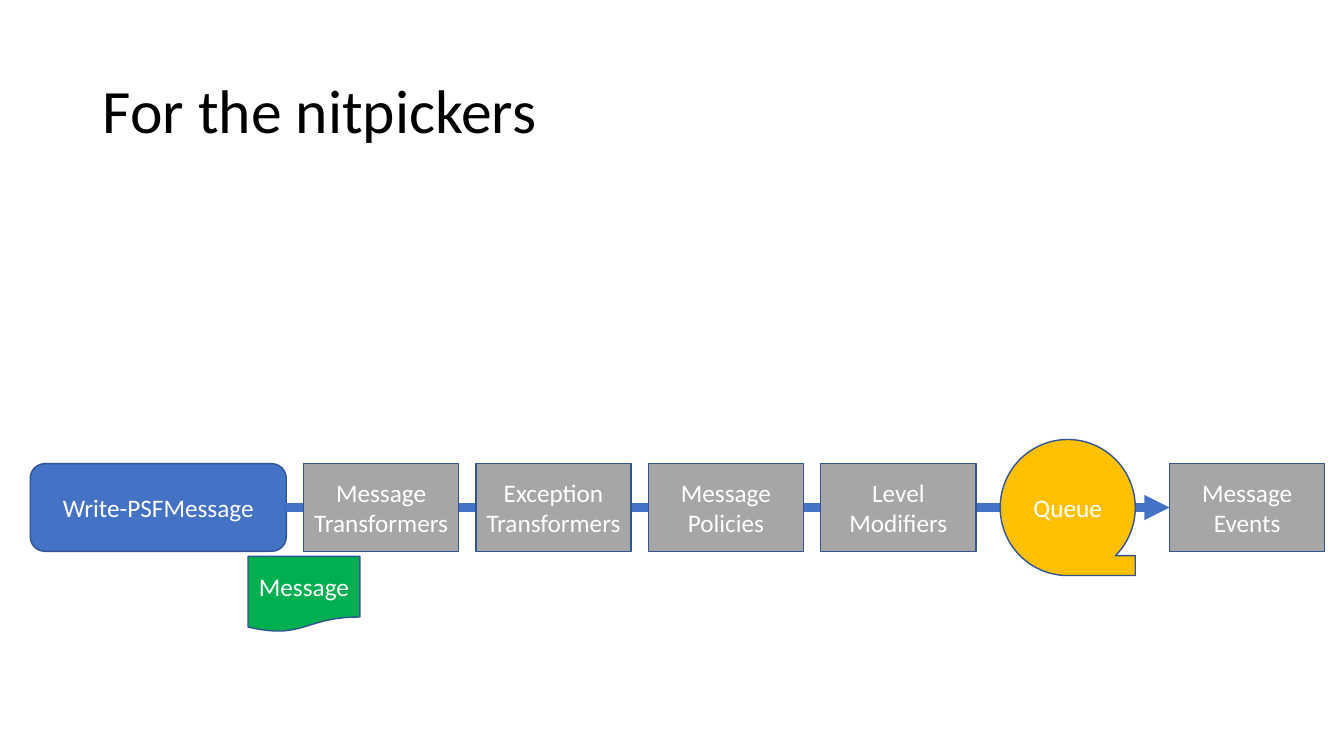
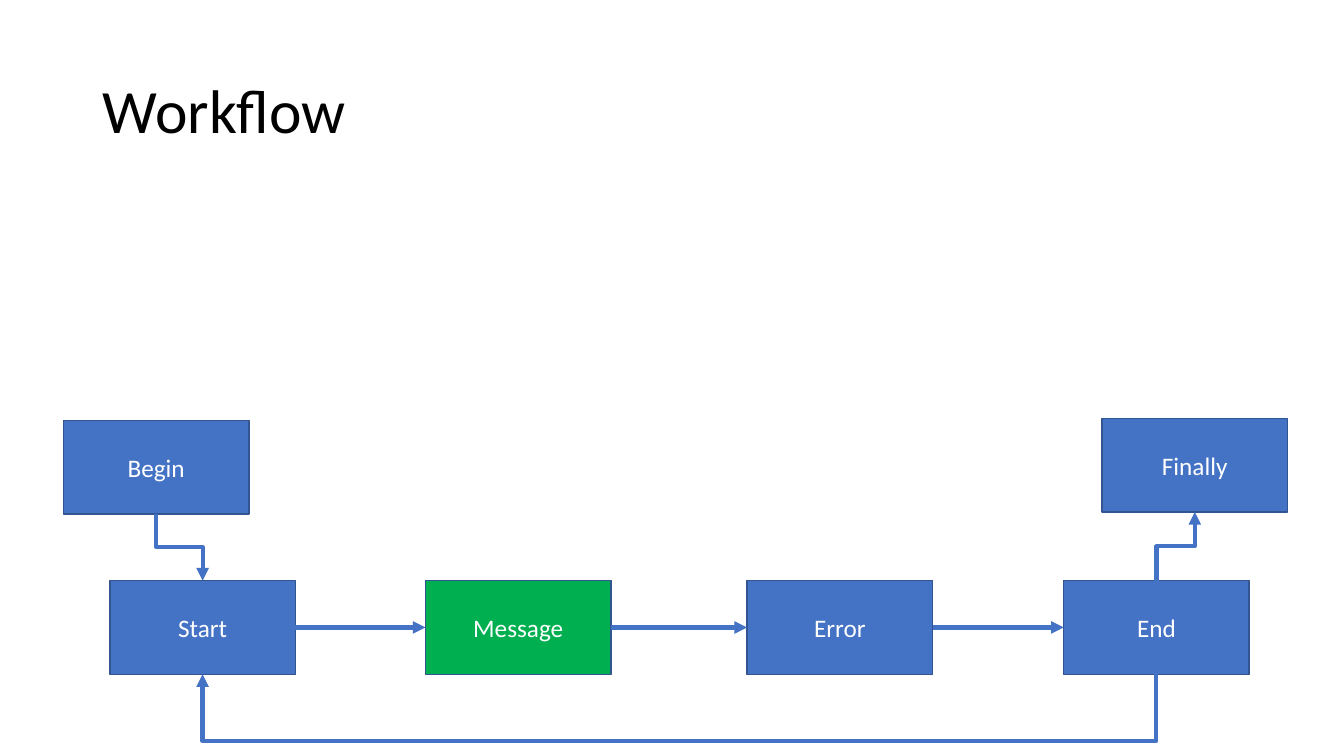
from collections import namedtuple

from lxml import etree
from pptx import Presentation
from pptx.dml.color import RGBColor
from pptx.enum.shapes import MSO_CONNECTOR, MSO_SHAPE
from pptx.enum.text import MSO_ANCHOR, PP_ALIGN
from pptx.oxml.ns import qn
from pptx.util import Emu, Inches, Pt

RECT = MSO_SHAPE.RECTANGLE
ROUNDED = MSO_SHAPE.ROUNDED_RECTANGLE
DOCUMENT = MSO_SHAPE.FLOWCHART_DOCUMENT
QUEUE = MSO_SHAPE.FLOWCHART_SEQUENTIAL_ACCESS_STORAGE
STRAIGHT, ELBOW = MSO_CONNECTOR.STRAIGHT, MSO_CONNECTOR.ELBOW
LEFT, CENTER = PP_ALIGN.LEFT, PP_ALIGN.CENTER
MIDDLE = MSO_ANCHOR.MIDDLE

BLUE = RGBColor(0x44, 0x72, 0xC4)
OUTLINE = RGBColor(0x32, 0x54, 0x91)
GREEN = RGBColor(0x00, 0xB0, 0x50)
GRAY = RGBColor(0xA6, 0xA6, 0xA6)
AMBER = RGBColor(0xFF, 0xC0, 0x00)
WHITE = RGBColor(0xFF, 0xFF, 0xFF)
BLACK = RGBColor(0x00, 0x00, 0x00)

TITLE_FONT = {"name": "Calibri", "size": Pt(44), "bold": False}
LABEL_FONT = {"name": "Calibri", "size": Pt(18), "bold": False}

# Connection sites of a box
TOP_SITE, LEFT_SITE, BOTTOM_SITE, RIGHT_SITE = range(4)

Box = namedtuple("Box", "left top width height")
TITLE_BOX = Box(0.92, 0.4, 11.5, 1.45)
PIPELINE_BOX = Box(0.3, 4.36, 12.84, 1.91)
WORKFLOW_BOX = Box(0.63, 4.15, 12.14, 3.09)


def format_text(frame, text, align, font, color):
    frame.text = text
    frame.word_wrap = True
    frame.vertical_anchor = MIDDLE
    for paragraph in frame.paragraphs:
        paragraph.alignment = align
        for name, value in font.items():
            setattr(paragraph.font, name, value)
        paragraph.font.color.rgb = color


def titled_slide(prs, text):
    slide = prs.slides.add_slide(prs.slide_layouts[5])
    title = slide.shapes.title
    for side, length in TITLE_BOX._asdict().items():
        setattr(title, side, Inches(length))
    format_text(title.text_frame, text, LEFT, TITLE_FONT, BLACK)
    title.text_frame.paragraphs[0].line_spacing = 0.9
    return slide


def add_node(slide, text, box, fill=BLUE, preset=RECT):
    node = slide.shapes.add_shape(preset, *map(Inches, box))
    node.shadow.inherit = False
    node.fill.solid()
    node.fill.fore_color.rgb = fill
    node.line.color.rgb = OUTLINE
    node.line.width = Pt(1)
    format_text(node.text_frame, text, CENTER, LABEL_FONT, WHITE)
    return node


def add_arrow(slide, source, target, sites=(RIGHT_SITE, LEFT_SITE),
              weight=3, kind=STRAIGHT):
    """Join two nodes at the given connection sites."""
    arrow = slide.shapes.add_connector(kind, 0, 0, 0, 0)
    arrow.begin_connect(source, sites[0])
    arrow.end_connect(target, sites[1])
    arrow.line.color.rgb = BLUE
    arrow.line.width = Pt(weight)
    etree.SubElement(arrow.line._get_or_add_ln(), qn("a:tailEnd"), type="triangle")
    etree.SubElement(arrow.element.spPr, qn("a:effectLst"))
    return arrow


def add_vertical_elbow(slide, source, target, sites, rotation, flips, depth=None):
    """Join two nodes by an elbow that leaves and arrives vertically.

    The preset runs sideways, so its frame is turned about its centre.
    depth is how far the bend passes below two level ends.
    """
    arrow = add_arrow(slide, source, target, sites, kind=ELBOW)
    center_x = (arrow.begin_x + arrow.end_x) // 2
    center_y = (arrow.begin_y + arrow.end_y) // 2
    run = max(abs(arrow.end_y - arrow.begin_y), 900)
    offset = abs(arrow.end_x - arrow.begin_x)
    frame = {"left": center_x - run // 2, "top": center_y - offset // 2,
             "width": run, "height": offset}
    for side, length in frame.items():
        setattr(arrow, side, Emu(length))
    transform = arrow.element.spPr.find(qn("a:xfrm"))
    transform.set("rot", str(rotation * 60000))
    for flip in ("flipH", "flipV"):
        transform.set(flip, str(int(flip in flips)))
    if depth is not None:
        share = -round(Inches(depth) / run * 100000)
        geometry = arrow.element.spPr.find(qn("a:prstGeom"))
        guides = geometry.find(qn("a:avLst"))
        if guides is None:
            guides = etree.SubElement(geometry, qn("a:avLst"))
        etree.SubElement(guides, qn("a:gd"), name="adj1", fmla=f"val {share}")


def draw_pipeline(slide, box):
    stage_width, stage_height, pitch = 1.54, 0.87, 1.71
    row_top = box.top + 0.24
    first_left = box.left + 2.71

    def stage(text, left):
        add_box = Box(left, row_top, stage_width, stage_height)
        return add_node(slide, text, add_box, GRAY)

    command = add_node(slide, "Write-PSFMessage",
                       Box(box.left, row_top, 2.54, stage_height), BLUE, ROUNDED)
    events = stage("Message\nEvents", box.left + box.width - stage_width)
    add_node(slide, "Message", Box(box.left + 2.16, box.top + 1.16, 1.11, 0.75),
             GREEN, DOCUMENT)
    add_arrow(slide, command, events, weight=6)
    add_node(slide, "Queue", Box(box.left + 9.62, box.top, 1.34, 1.35), AMBER, QUEUE)
    stages = ("Message\nTransformers", "Exception\nTransformers",
              "Message\nPolicies", "Level\nModifiers")
    for column, text in enumerate(stages):
        stage(text, first_left + column * pitch)


def draw_workflow(slide, box):
    node_width, node_height = 1.84, 0.93
    loop_top = 1.61
    places = {
        "Begin": (0, 0.02, BLUE),
        "Start": (0.46, loop_top, BLUE),
        "Message": (3.59, loop_top, GREEN),
        "Error": (6.78, loop_top, BLUE),
        "End": (9.92, loop_top, BLUE),
        "Finally": (box.width - node_width, 0, BLUE),
    }
    nodes = {
        text: add_node(slide, text, Box(box.left + x, box.top + y,
                                        node_width, node_height), fill)
        for text, (x, y, fill) in places.items()
    }
    loop = [nodes[text] for text in ("Start", "Message", "Error", "End")]
    for source, target in zip(loop, loop[1:]):
        add_arrow(slide, source, target)

    return_depth = box.height - loop_top - node_height
    elbows = (
        ("Begin", "Start", (BOTTOM_SITE, TOP_SITE), 270, ("flipH",), None),
        ("End", "Finally", (TOP_SITE, BOTTOM_SITE), 90, ("flipH", "flipV"), None),
        ("End", "Start", (BOTTOM_SITE, BOTTOM_SITE), 90, ("flipH",), return_depth),
    )
    for source, target, *route in elbows:
        add_vertical_elbow(slide, nodes[source], nodes[target], *route)


def main():
    prs = Presentation()
    prs.slide_width, prs.slide_height = Inches(13.33), Inches(7.5)
    draw_pipeline(titled_slide(prs, "For the nitpickers"), PIPELINE_BOX)
    draw_workflow(titled_slide(prs, "Workflow"), WORKFLOW_BOX)
    prs.save("out.pptx")


if __name__ == "__main__":
    main()
